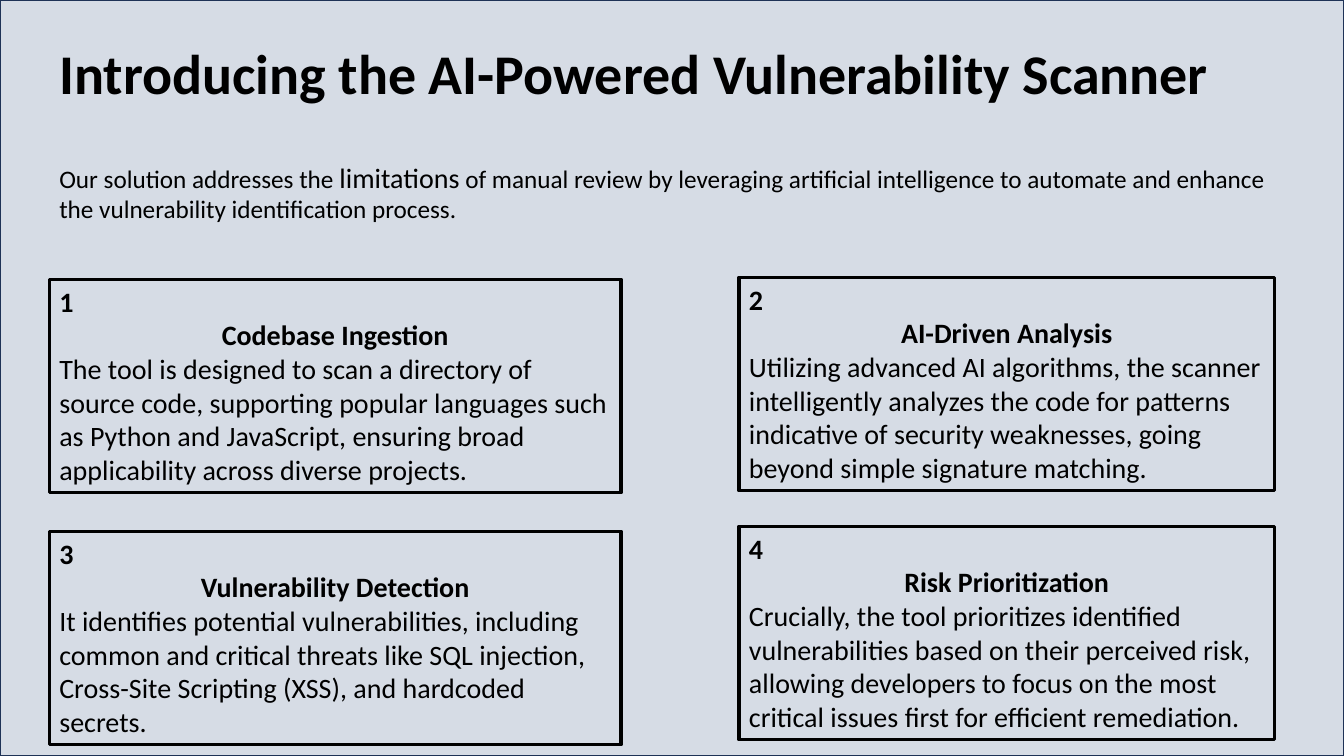
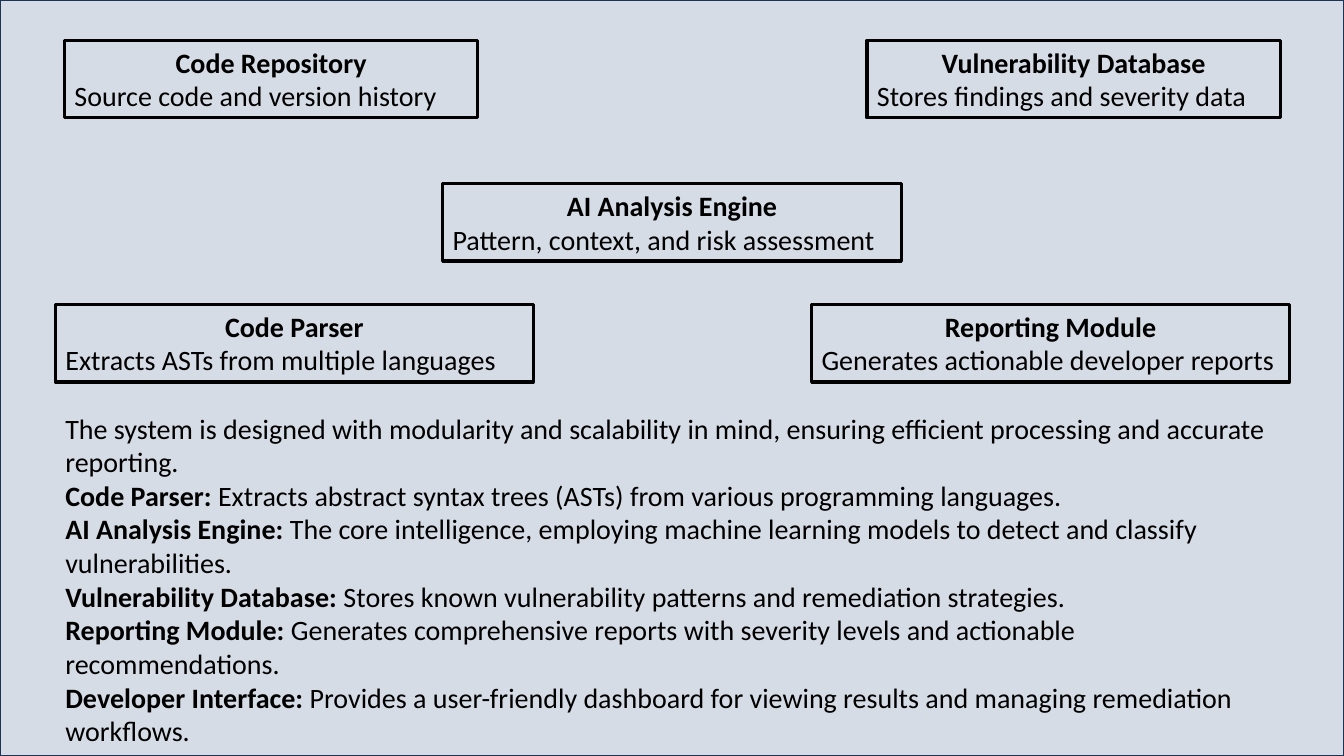
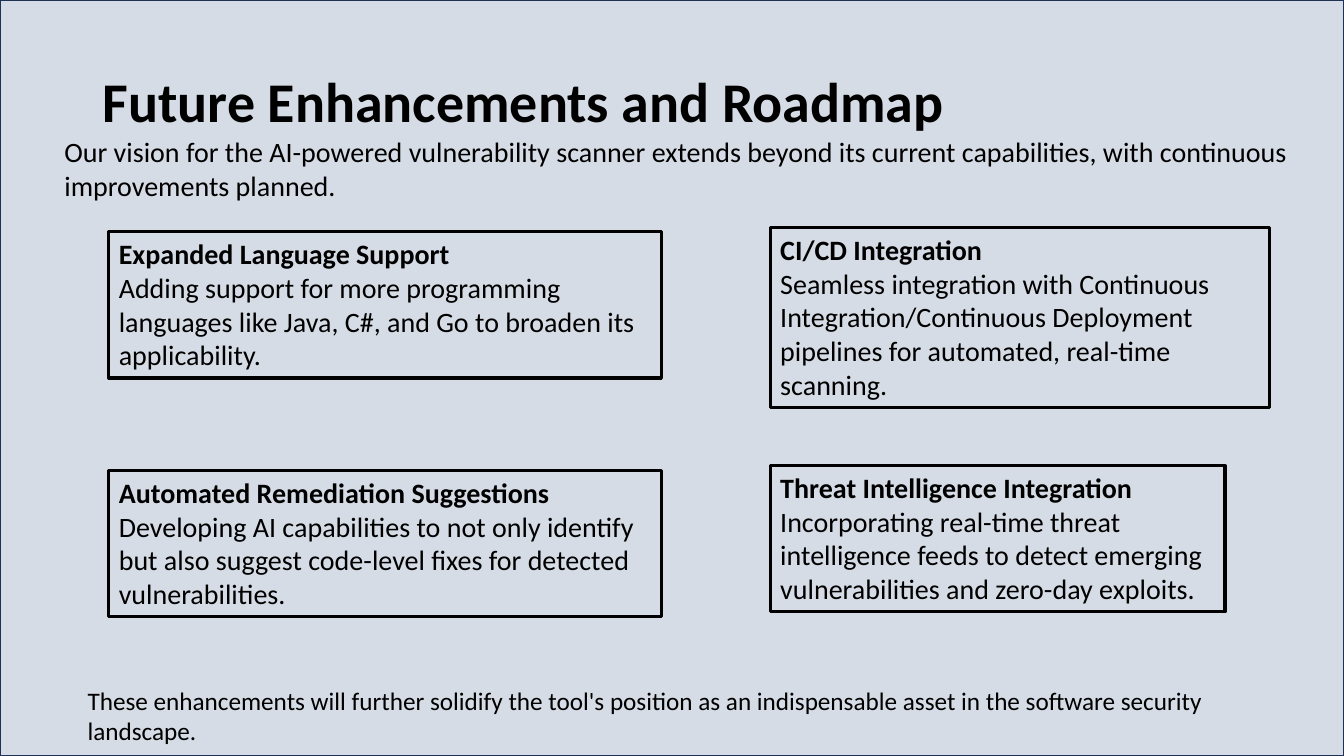
from dataclasses import dataclass

from pptx import Presentation
from pptx import util as u
from pptx.dml.color import RGBColor
from pptx.enum import shapes, text


@dataclass(frozen=True)
class Theme:
    font: str = "Calibri"
    ink: RGBColor = RGBColor(0x00, 0x00, 0x00)
    backdrop: RGBColor = RGBColor(0xD6, 0xDC, 0xE5)
    edge: RGBColor = RGBColor(0x1E, 0x32, 0x56)
    title_size: int = 40
    body_size: int = 20
    small_size: int = 18
    edge_width: float = 1
    card_width: float = 2.25


THEME = Theme()
SLIDE_W, SLIDE_H = 13.33, 7.5
LEFT, CENTER = text.PP_ALIGN.LEFT, text.PP_ALIGN.CENTER


@dataclass(frozen=True)
class Run:
    text: str
    size: int = THEME.body_size
    bold: bool = False


@dataclass(frozen=True)
class Para:
    runs: tuple
    align: int = LEFT


def plain(words, size=THEME.body_size):
    return Para((Run(words, size),))


def heading(words, align=LEFT, size=THEME.body_size):
    return Para((Run(words, size, True),), align)


def labelled(label, words):
    return Para((Run(label, bold=True), Run(words)))


def write(frame, paras):
    frame.word_wrap = True
    frame.auto_size = text.MSO_AUTO_SIZE.SHAPE_TO_FIT_TEXT
    frame.vertical_anchor = text.MSO_ANCHOR.TOP
    for index, para in enumerate(paras):
        paragraph = frame.add_paragraph() if index else frame.paragraphs[0]
        paragraph.alignment = para.align
        for part in para.runs:
            run = paragraph.add_run()
            run.text = part.text
            run.font.name = THEME.font
            run.font.size = u.Pt(part.size)
            run.font.bold = part.bold
            run.font.color.rgb = THEME.ink


def add_rectangle(slide, box, line_color, line_width):
    rectangle = slide.shapes.add_shape(
        shapes.MSO_SHAPE.RECTANGLE, *map(u.Inches, box))
    rectangle.shadow.inherit = False
    rectangle.line.color.rgb = line_color
    rectangle.line.width = u.Pt(line_width)
    return rectangle


def add_slide(deck):
    """Add a blank slide with the shared edged backdrop."""
    slide = deck.slides.add_slide(deck.slide_layouts[6])
    backdrop = add_rectangle(
        slide, (0, 0, SLIDE_W, SLIDE_H), THEME.edge, THEME.edge_width)
    backdrop.fill.solid()
    backdrop.fill.fore_color.rgb = THEME.backdrop
    return slide


def add_text(slide, box, *paras):
    write(slide.shapes.add_textbox(*map(u.Inches, box)).text_frame, paras)


def add_title(slide, box, words):
    add_text(slide, box, heading(words, size=THEME.title_size))


def add_card(slide, box, *paras):
    card = add_rectangle(slide, box, THEME.ink, THEME.card_width)
    card.fill.background()
    write(card.text_frame, paras)


def build_introduction(deck):
    slide = add_slide(deck)
    add_title(slide, (0.49, 0.33, 12.15, 0.77),
              "Introducing the AI-Powered Vulnerability Scanner")
    add_text(slide, (0.49, 1.54, 12.27, 0.74), Para((
        Run("Our solution addresses the ", THEME.small_size),
        Run("limitations"),
        Run(" of manual review by leveraging artificial intelligence to "
            "automate and enhance the vulnerability identification process.",
            THEME.small_size))))

    columns = ((0.49, 5.67), (7.33, 5.31))
    tops = (2.77, 2.75, 5.27, 5.22)
    steps = (
        ("Codebase Ingestion",
         "The tool is designed to scan a directory of source code, supporting "
         "popular languages such as Python and JavaScript, ensuring broad "
         "applicability across diverse projects."),
        ("AI-Driven Analysis",
         "Utilizing advanced AI algorithms, the scanner intelligently analyzes "
         "the code for patterns indicative of security weaknesses, going "
         "beyond simple signature matching."),
        ("Vulnerability Detection",
         "It identifies potential vulnerabilities, including common and "
         "critical threats like SQL injection, Cross-Site Scripting (XSS), "
         "and hardcoded secrets."),
        ("Risk Prioritization",
         "Crucially, the tool prioritizes identified vulnerabilities based on "
         "their perceived risk, allowing developers to focus on the most "
         "critical issues first for efficient remediation."),
    )
    for index, (top, (name, detail)) in enumerate(zip(tops, steps)):
        left, width = columns[index % 2]
        add_card(slide, (left, top, width, 2.12), heading(str(index + 1)),
                 heading(name, CENTER), plain(detail))


def build_architecture(deck):
    slide = add_slide(deck)
    components = (
        (0.55, 3.02, 4.74, "Code Parser",
         "Extracts ASTs from multiple languages"),
        (8.6, 0.4, 4.1, "Vulnerability Database",
         "Stores findings and severity data"),
        (0.64, 0.4, 4.1, "Code Repository",
         "Source code and version history"),
        (4.39, 1.82, 4.55, "AI Analysis Engine",
         "Pattern, context, and risk assessment"),
        (8.05, 3.02, 4.74, "Reporting Module",
         "Generates actionable developer reports"),
    )
    for left, top, width, name, role in components:
        add_card(slide, (left, top, width, 0.77),
                 heading(name, CENTER), plain(role))

    add_text(
        slide, (0.55, 4.03, 12.24, 3.47),
        plain("The system is designed with modularity and scalability in "
              "mind, ensuring efficient processing and accurate reporting."),
        labelled("Code Parser:", " Extracts abstract syntax trees (ASTs) from "
                 "various programming languages."),
        labelled("AI Analysis Engine:", " The core intelligence, employing "
                 "machine learning models to detect and classify "
                 "vulnerabilities."),
        labelled("Vulnerability Database:", " Stores known vulnerability "
                 "patterns and remediation strategies."),
        labelled("Reporting Module:", " Generates comprehensive reports with "
                 "severity levels and actionable recommendations."),
        labelled("Developer Interface:", " Provides a user-friendly dashboard "
                 "for viewing results and managing remediation workflows."))


def build_roadmap(deck):
    slide = add_slide(deck)
    add_title(slide, (0.92, 0.61, 11.79, 0.77),
              "Future Enhancements and Roadmap")
    add_text(slide, (0.54, 1.29, 12.56, 0.77), plain(
        "Our vision for the AI-powered vulnerability scanner extends beyond "
        "its current capabilities, with continuous improvements planned."))

    enhancements = (
        ((1.08, 2.3, 5.48, 1.45), "Expanded Language Support",
         "Adding support for more programming languages like Java, C#, and Go "
         "to broaden its applicability."),
        ((7.64, 2.26, 4.95, 1.78), "CI/CD Integration",
         "Seamless integration with Continuous Integration/Continuous "
         "Deployment pipelines for automated, real-time scanning."),
        ((1.08, 4.67, 5.48, 1.45), "Automated Remediation Suggestions",
         "Developing AI capabilities to not only identify but also suggest "
         "code-level fixes for detected vulnerabilities."),
        ((7.64, 4.62, 4.51, 1.45), "Threat Intelligence Integration",
         "Incorporating real-time threat intelligence feeds to detect "
         "emerging vulnerabilities and zero-day exploits."),
    )
    for box, name, detail in enhancements:
        add_card(slide, box, heading(name), plain(detail))

    add_text(slide, (0.77, 6.75, 11.93, 0.75), plain(
        "These enhancements will further solidify the tool's position as an "
        "indispensable asset in the software security landscape.",
        THEME.small_size))


def main():
    deck = Presentation()
    deck.slide_width = u.Inches(SLIDE_W)
    deck.slide_height = u.Inches(SLIDE_H)
    build_introduction(deck)
    build_architecture(deck)
    build_roadmap(deck)
    deck.save("out.pptx")


if __name__ == "__main__":
    main()
